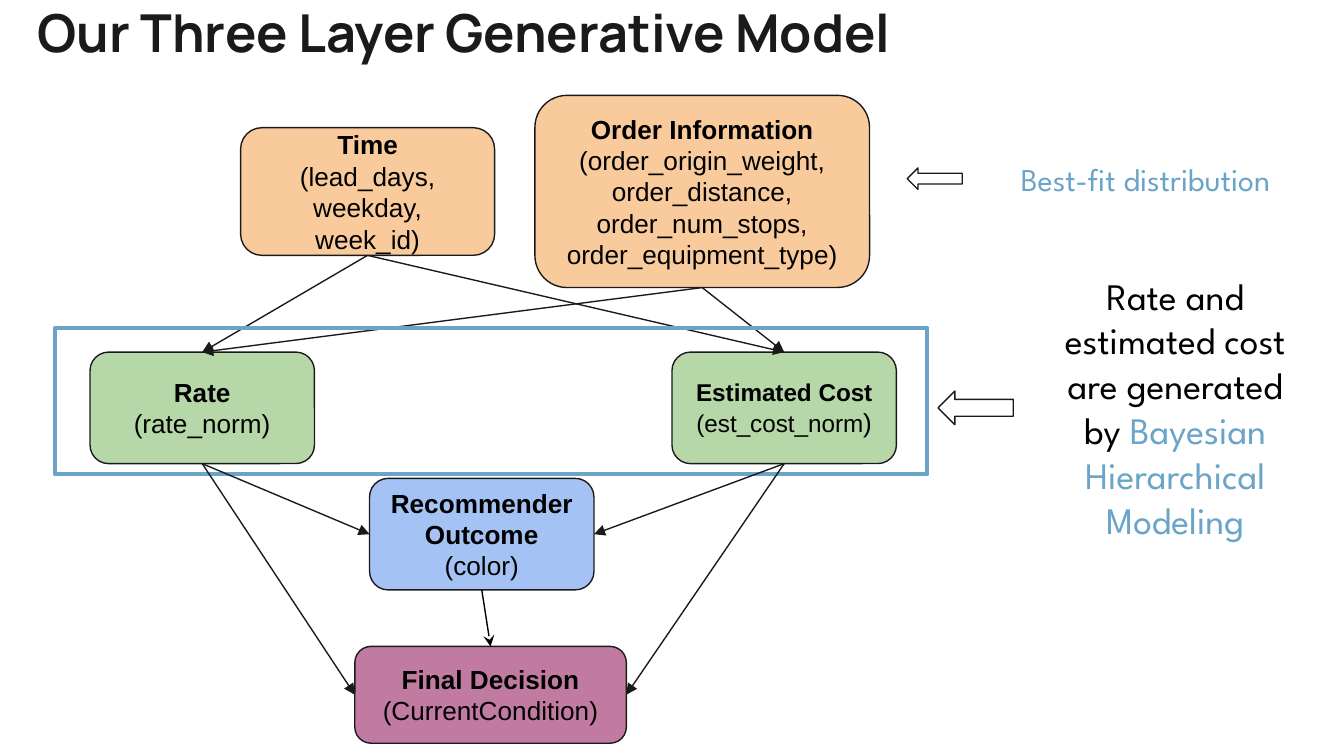
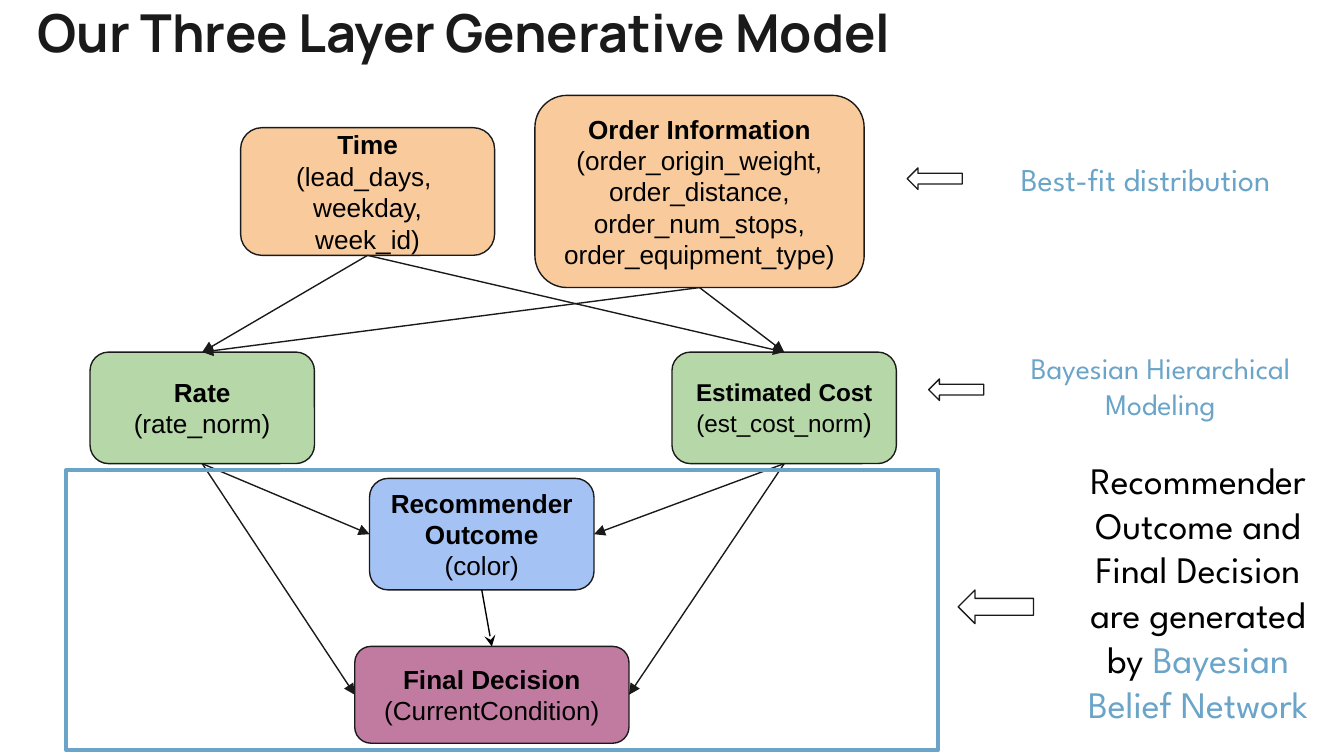
from dataclasses import dataclass

from lxml import etree
from pptx import Presentation
from pptx import util as u
from pptx.dml.color import RGBColor
from pptx.enum import shapes, text
from pptx.oxml.ns import qn

WIDE = u.Inches(10)
HIGH = u.Emu(WIDE * 9 // 16)
COLS, ROWS = 100, 56.25  # square cells, a tenth of an inch
HEX = {"ink": "1A1A1A", "black": "000000", "sky": "6AA4C8", "peach": "F9CB9C",
       "green": "B6D7A8", "blue": "A4C2F4", "mauve": "C27BA0"}
HEAD = "Our Three Layer Generative Model"
KIND = shapes.MSO_SHAPE
TOP, LEFT, BASE, RIGHT = range(4)  # connection sites of a box


@dataclass(frozen=True)
class Area:
    col: float
    row: float
    cols: float
    rows: float

    def place(self) -> tuple[int, int, int, int]:
        return (round(WIDE * self.col / COLS), round(HIGH * self.row / ROWS),
                round(WIDE * self.cols / COLS), round(HIGH * self.rows / ROWS))


@dataclass(frozen=True)
class Run:
    words: str
    size: float = 14
    font: str = "Arial"
    tint: str = "black"
    bold: bool = False


@dataclass(frozen=True)
class Node:
    name: str
    area: Area
    tint: str
    paras: list[list[Run]]


@dataclass(frozen=True)
class Link:
    start: str
    out: int
    end: str
    into: int
    tint: str = "ink"
    tip: str = "triangle"


@dataclass(frozen=True)
class Note:
    area: Area
    runs: list[Run]
    arrow: Area


UPPER = [Link(top, BASE, low, TOP) for top in ("time", "order") for low in ("rate", "cost")]
LOWER = [
    Link("rate", BASE, "color", LEFT),
    Link("cost", BASE, "color", RIGHT),
    Link("rate", BASE, "final", LEFT),
    Link("cost", BASE, "final", RIGHT),
    Link("color", BASE, "final", TOP, "black", "stealth"),
]


def label(head: str, *lines: str) -> list[list[Run]]:
    return [[Run(head, bold=True)]] + [[Run(line)] for line in lines]


def brand(words: str, size: float, tint: str = "sky") -> Run:
    return Run(words, size, "League Spartan", tint)


def nodes(order: float, final: float, time: list[str]) -> list[Node]:
    """Give the six boxes; order and final are the widths that vary by slide."""
    return [
        Node("time", Area(17.9, 9.5, 18.9, 9.5), "peach", label("Time", *time)),
        Node("order", Area(39.8, 7.1, order, 14.3), "peach", label(
            "Order Information",
            "(order_origin_weight, order_distance, order_num_stops, order_equipment_type)")),
        Node("rate", Area(6.7, 26.2, 16.7, 8.3), "green", label("Rate", "(rate_norm)")),
        Node("cost", Area(50, 26.2, 16.7, 8.3), "green", [
            [Run("Estimated Cost", 13, bold=True)], [Run("(est_cost_norm", 13), Run(")")]]),
        Node("color", Area(27.5, 35.6, 16.7, 8.3), "blue",
             label("Recommender Outcome", "(color)")),
        Node("final", Area(26.4, 48.1, final, 7.2), "mauve",
             label("Final Decision", "(CurrentCondition)")),
    ]


def color(name: str) -> RGBColor:
    return RGBColor.from_string(HEX[name])


def apply(item, form: dict) -> None:
    for key, value in form.items():
        setattr(item, key, value)


def write(frame, paras: list[list[Run]], align, **form) -> None:
    sides = ("left", "top", "right", "bottom")
    apply(frame, {f"margin_{side}": u.Inches(0.1) for side in sides})
    apply(frame, {"word_wrap": True, **form})
    for i, runs in enumerate(paras):
        para = frame.add_paragraph() if i else frame.paragraphs[0]
        para.alignment = align
        for run in runs:
            part = para.add_run()
            part.text = run.words
            apply(part.font, {"size": u.Pt(run.size), "name": run.font, "bold": run.bold})
            part.font.color.rgb = color(run.tint)


def stroke(item, tint: str, width: float) -> None:
    item.line.color.rgb = color(tint)
    item.line.width = u.Pt(width)


def shape(slide, kind, area: Area, fill: str = "", tint: str = "ink", width: float = 0.75):
    item = slide.shapes.add_shape(kind, *area.place())
    item.shadow.inherit = False
    if fill:
        item.fill.solid()
        item.fill.fore_color.rgb = color(fill)
    else:
        item.fill.background()
    stroke(item, tint, width)
    return item


def box(slide, node: Node):
    item = shape(slide, KIND.ROUNDED_RECTANGLE, node.area, node.tint)
    write(item.text_frame, node.paras, text.PP_ALIGN.CENTER,
          vertical_anchor=text.MSO_ANCHOR.MIDDLE)
    return item


def join(slide, boxes: dict, links: list[Link]) -> None:
    for link in links:
        line = slide.shapes.add_connector(shapes.MSO_CONNECTOR.STRAIGHT, 0, 0, 0, 0)
        line.begin_connect(boxes[link.start], link.out)
        line.end_connect(boxes[link.end], link.into)
        stroke(line, link.tint, 0.75)
        etree.SubElement(line.line._get_or_add_ln(), qn("a:tailEnd"), type=link.tip)
        etree.SubElement(line._element.spPr, qn("a:effectLst"))


def title(slide) -> None:
    item = slide.shapes.title
    apply(item, dict(zip(("left", "top", "width", "height"),
                         Area(1.8, -1, 76.9, 10.9).place())))
    write(item.text_frame, [[Run(HEAD, 28, "Manrope", "ink", True)]], text.PP_ALIGN.LEFT,
          vertical_anchor=text.MSO_ANCHOR.TOP, auto_size=text.MSO_AUTO_SIZE.NONE)


def remark(slide, note: Note) -> None:
    item = slide.shapes.add_textbox(*note.area.place())
    write(item.text_frame, [note.runs], text.PP_ALIGN.CENTER,
          auto_size=text.MSO_AUTO_SIZE.SHAPE_TO_FIT_TEXT)
    shape(slide, KIND.LEFT_ARROW, note.arrow)


def build(deck, parts: list[Node], frame: Area, over: bool, notes: list[Note]) -> None:
    """Draw one slide; over puts the frame above the lower links."""
    slide = deck.slides.add_slide(deck.slide_layouts[5])
    title(slide)
    boxes = {node.name: box(slide, node) for node in parts}
    join(slide, boxes, UPPER)
    if over:
        join(slide, boxes, LOWER)
    shape(slide, KIND.RECTANGLE, frame, tint="sky", width=2.25)
    if not over:
        join(slide, boxes, LOWER)
    for note in notes:
        remark(slide, note)


def main() -> None:
    deck = Presentation()
    apply(deck, {"slide_width": WIDE, "slide_height": HIGH})
    fit = Note(Area(72.3, 10.9, 25.9, 4.9), [brand("Best-fit distribution", 17)],
               Area(67.5, 12.5, 4.1, 1.6))
    build(deck, nodes(24.9, 20.2, ["(lead_days,", "weekday, week_id)"]),
          Area(4.1, 24.4, 64.9, 10.9), False, [
        Note(Area(76.8, 19.3, 21.3, 22.2), [
            brand("Rate and estimated cost are generated by ", 20, "black"),
            brand("Bayesian Hierarchical Modeling", 20)],
            Area(69.8, 29.1, 5.6, 2.5)),
        fit])
    build(deck, nodes(24.5, 20.4, ["(lead_days, ", "weekday,", "week_id)"]),
          Area(4.9, 35, 64.9, 20.8), True, [
        Note(Area(78.5, 33, 21.3, 22.2), [
            brand("Recommender Outcome and Final Decision are generated by ", 20, "black"),
            brand("Bayesian Belief Network", 20)],
            Area(71.3, 43.9, 5.6, 2.5)),
        fit,
        Note(Area(73.8, 25, 25.1, 7.4), [brand("Bayesian Hierarchical Modeling", 16)],
             Area(69.1, 28.2, 4.1, 1.6))])
    deck.save("out.pptx")


if __name__ == "__main__":
    main()
